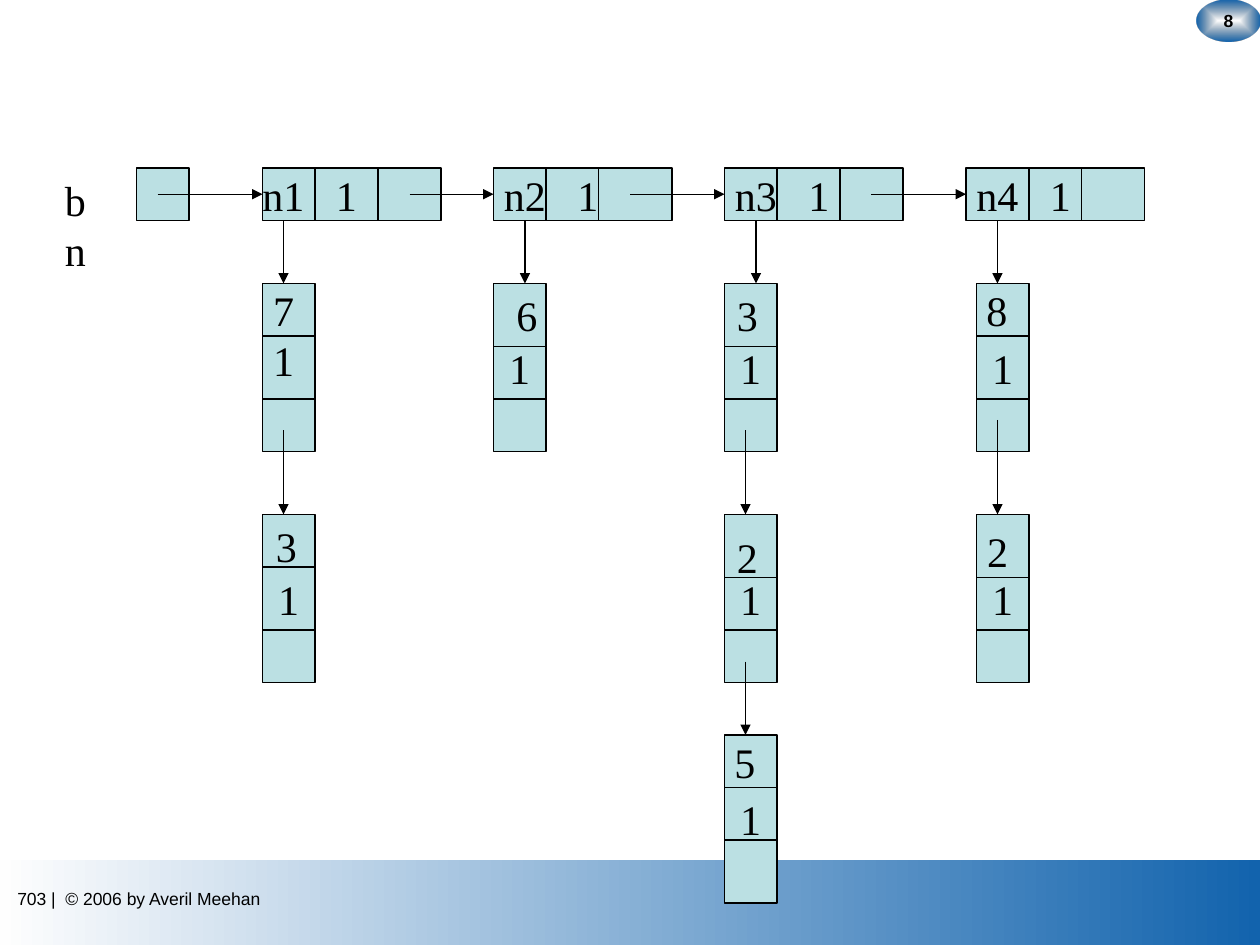
from lxml.etree import SubElement
from pptx import Presentation
from pptx.dml.color import RGBColor
from pptx.enum.shapes import MSO_CONNECTOR as LINE, MSO_SHAPE as SHAPE
from pptx.enum.text import MSO_ANCHOR as ANCHOR, PP_ALIGN as ALIGN
from pptx.oxml.ns import qn
from pptx.util import Pt

BLACK = RGBColor(0, 0, 0)
CELL = RGBColor(0xBB, 0xE0, 0xE3)
BLUE = RGBColor(0x12, 0x63, 0xAD)
NAVY = RGBColor(0x08, 0x2D, 0x4F)
PALE = RGBColor(0xFE, 0xFE, 0xFE)
SERIF, SANS = "Times New Roman", "Arial"

SIDE, LONG, TALL = 30, 102, 96      # cell side, header length, term height
TOP = 96                            # top of the header row
ROWS = (162, 294, 420)              # tops of the term rows
LINK = 12                           # link arrow, from the left of a term

# Header: name, left, cuts, start of the arrow to the next header
# Column: left, offset of the first arrow, start of links within a term
# Term: value, its label offset (x, y), cuts
LISTS = [
    dict(name="n1", head=150, cuts=(30, 66), out=84, left=150, drop=12, link=84,
         terms=[("7", (-1, -3), (30, 66)), ("3", (0.5, 0), (30, 66))]),
    dict(name="n2", head=282, cuts=(30, 60), out=78, left=282, drop=18, link=84,
         terms=[("6", (6, 0), (36, 66))]),
    dict(name="n3", head=414, cuts=(30, 66), out=84, left=414, drop=18, link=84,
         terms=[("3", (0, 0), (36, 66)), ("2", (0, 6), (36, 66)),
                ("5", (-1.5, -2.5), (30, 60))]),
    dict(name="n4", head=552, cuts=(36, 66), out=None, left=558, drop=12, link=78,
         terms=[("8", (-1.5, -3), (30, 66)), ("2", (-1, 3), (36, 66))]),
]

prs = Presentation()
prs.slide_width, prs.slide_height = Pt(720), Pt(540)
slide = prs.slides.add_slide(prs.slide_layouts[6])
shapes = slide.shapes


def style(par, size=24, face=SERIF, bold=False):
    for run in par.runs:
        font = run.font
        font.size, font.name, font.bold = Pt(size), face, bold
        font.color.rgb = BLACK


def write(shape, text, **look):
    """Put centred text in a shape."""
    frame = shape.text_frame
    frame.text = text
    frame.word_wrap = False
    frame.vertical_anchor = ANCHOR.MIDDLE
    par = frame.paragraphs[0]
    par.alignment = ALIGN.CENTER
    style(par, **look)


def label(text, x, y, w, h, **look):
    frame = shapes.add_textbox(Pt(x), Pt(y), Pt(w), Pt(h)).text_frame
    frame.text = text
    frame.word_wrap = False
    for par in frame.paragraphs:
        style(par, **look)


def box(x, y, w, h):
    cell = shapes.add_shape(SHAPE.RECTANGLE, Pt(x), Pt(y), Pt(w), Pt(h))
    cell.shadow.inherit = False
    cell.fill.solid()
    cell.fill.fore_color.rgb = CELL
    cell.line.color.rgb = BLACK
    cell.line.width = Pt(0.75)
    return cell


def line(x1, y1, x2, y2, arrow=False):
    rule = shapes.add_connector(LINE.STRAIGHT, Pt(x1), Pt(y1), Pt(x2), Pt(y2))
    rule.line.color.rgb = BLACK
    rule.line.width = Pt(0.75)
    if arrow:
        SubElement(rule.line._get_or_add_ln(), qn("a:tailEnd"), type="triangle")
    SubElement(rule._element.spPr, qn("a:effectLst"))


def blend(kind, x, y, w, h, first, last):
    """Add a borderless shape with a two-colour gradient."""
    shape = shapes.add_shape(kind, Pt(x), Pt(y), Pt(w), Pt(h))
    shape.shadow.inherit = False
    shape.line.fill.background()
    shape.fill.gradient()
    shape.fill.gradient_angle = 180
    for stop, color, pos in zip(shape.fill.gradient_stops, (first, last), (0, 1)):
        stop.color.rgb = color
        stop.position = pos
    return shape


def header(name, x, cuts):
    """Add a header cell with its name and exponent on a tab stop."""
    cell = box(x, TOP, LONG, SIDE)
    frame = cell.text_frame
    frame.text = f"{name}\t1"
    frame.vertical_anchor = ANCHOR.MIDDLE
    frame.margin_left = Pt(0 if name == "n1" else 6)
    par = frame.paragraphs[0]
    par.alignment = ALIGN.LEFT
    style(par)
    tabs = SubElement(par._p.get_or_add_pPr(), qn("a:tabLst"))
    SubElement(tabs, qn("a:tab"), pos=str(Pt(42)), algn="l")
    for cut in cuts:
        line(x + cut, TOP, x + cut, TOP + SIDE)


def badge(text):
    """Add the page number on an oval that clears towards its centre."""
    oval = blend(SHAPE.OVAL, 684, 0, 36, 24, NAVY, BLUE)
    grad = oval._element.spPr.find(qn("a:gradFill"))
    SubElement(grad.find(".//" + qn("a:srgbClr")), qn("a:alpha"), val="0")
    grad.remove(grad.find(qn("a:lin")))
    glow = SubElement(grad, qn("a:path"))
    glow.set("path", "rect")
    SubElement(glow, qn("a:fillToRect"), dict.fromkeys("ltrb", "50000"))
    write(oval, text, size=10, face=SANS, bold=True)


blend(SHAPE.RECTANGLE, 0, 491.5, 720, 48.5, BLUE, PALE)
label("703 |  © 2006 by Averil Meehan", 2.8, 504, 640, 19.5, size=10, face=SANS)
badge("8")

label("bn", 30, TOP, 38, 36)
box(78, TOP, SIDE, SIDE)
for item in LISTS:
    header(item["name"], item["head"], item["cuts"])
    left = item["left"]
    for row, (value, (dx, dy), cuts) in zip(ROWS, item["terms"]):
        term = box(left, row, SIDE, TALL)
        for cut in cuts:
            line(left, row + cut, left + SIDE, row + cut)
        if value == "7":
            label("7\n1", left + dx, row + dy, 26, 65)
        else:
            write(term, "1")
            label(value, left + dx, row + dy, 26, 36)

mid = TOP + SIDE / 2
starts = [90] + [item["head"] + item["out"] for item in LISTS[:-1]]
for start, item in zip(starts, LISTS):
    line(start, mid, item["head"], mid, arrow=True)
    left = item["left"]
    line(left + item["drop"], TOP + SIDE, left + item["drop"], ROWS[0], arrow=True)
    for row, below in zip(ROWS, ROWS[1:len(item["terms"])]):
        line(left + LINK, row + item["link"], left + LINK, below, arrow=True)

prs.save("out.pptx")
